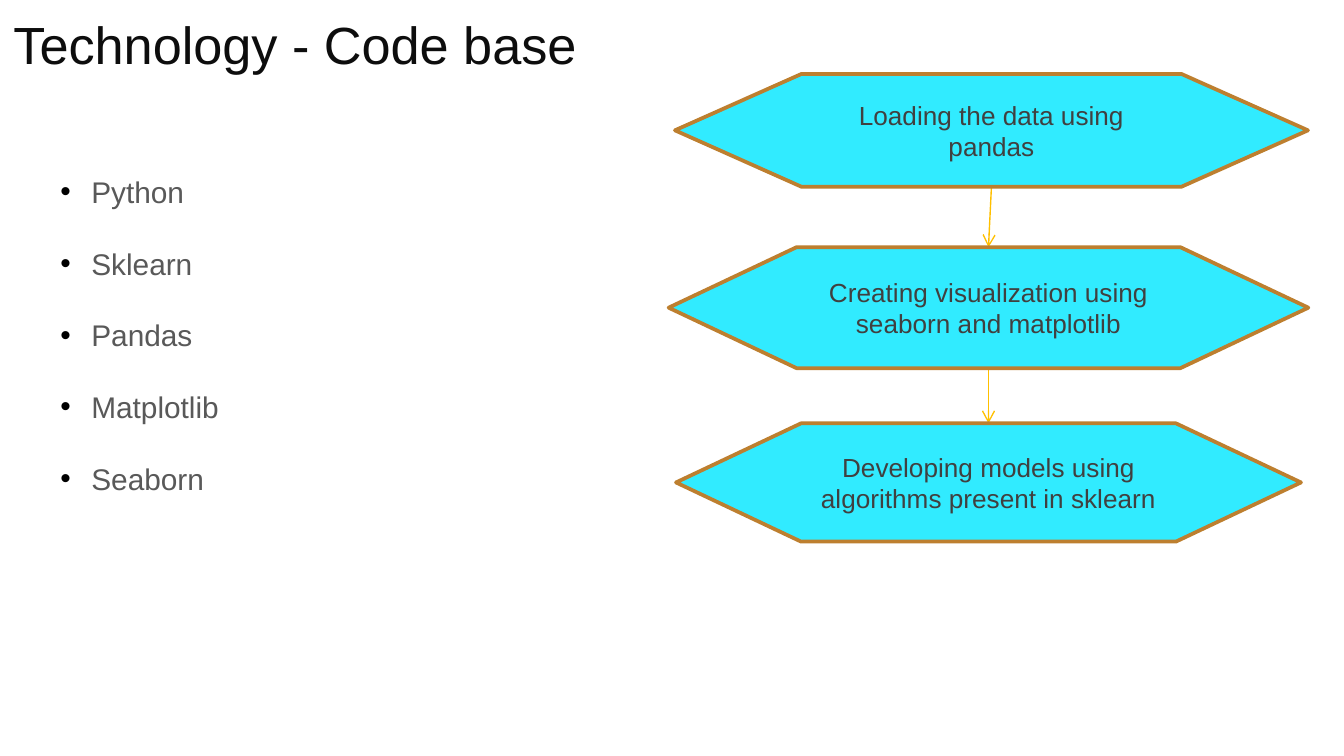
"""Build the code base slide: a list of tools beside a three-step flow."""
from dataclasses import dataclass

from lxml import etree
from pptx import Presentation
from pptx import util as u
from pptx.dml.color import RGBColor
from pptx.enum import shapes, text
from pptx.oxml.ns import qn


@dataclass(frozen=True)
class Theme:
    face: str = "Arial"
    heading: str = "0D0D0D"
    body: str = "595959"
    label: str = "404040"
    bullet: str = "000000"
    step_fill: str = "31EBFF"
    step_line: str = "BD7F2F"
    arrow: str = "FFC000"
    heading_size: int = 28
    body_size: int = 16
    label_size: int = 14


THEME = Theme()
WIDTH = u.Inches(10)
HEIGHT = WIDTH * 9 // 16
COLUMNS = ROWS = 100

HEADING = ("Technology - Code base", (0, -0.18, 93.2, 11.2))
TOOLS = ["Python", "Sklearn", "Pandas", "Matplotlib", "Seaborn"]
TOOLS_AREA = (3.5, 22.1, 46.1, 44.8)
STEPS = [
    ("Loading the data using pandas", (50.22, 9.78, 47.1, 14.93)),
    ("Creating visualization using seaborn and matplotlib", (49.75, 32.71, 47.6, 16)),
    ("Developing models using algorithms present in sklearn", (50.3, 56, 46.5, 15.64)),
]


def grid(area):
    column, row = WIDTH / COLUMNS, HEIGHT / ROWS
    return [round(share * unit) for share, unit in zip(area, (column, row) * 2)]


def place(holder, area):
    holder.left, holder.top, holder.width, holder.height = grid(area)
    frame = holder.text_frame
    frame.word_wrap = True
    frame.auto_size = text.MSO_AUTO_SIZE.NONE
    frame.vertical_anchor = text.MSO_ANCHOR.TOP
    return frame


def style(paragraph, size, color, align):
    paragraph.alignment = align
    paragraph.font.name = THEME.face
    paragraph.font.size = u.Pt(size)
    paragraph.font.color.rgb = RGBColor.from_string(color)


def add_bullet(paragraph):
    properties = paragraph._p.get_or_add_pPr()
    properties.set("marL", str(u.Inches(0.23)))
    properties.set("indent", str(-u.Inches(0.23)))
    color = etree.SubElement(properties, qn("a:buClr"))
    etree.SubElement(color, qn("a:srgbClr"), val=THEME.bullet)
    etree.SubElement(properties, qn("a:buFont"), typeface=THEME.face)
    etree.SubElement(properties, qn("a:buChar"), char="•")


def add_heading(slide):
    wording, area = HEADING
    frame = place(slide.shapes.title, area)
    frame.margin_top = u.Inches(0.1)
    frame.text = wording
    style(frame.paragraphs[0], THEME.heading_size, THEME.heading, text.PP_ALIGN.LEFT)


def add_tools(slide):
    frame = place(slide.placeholders[1], TOOLS_AREA)
    frame.text = "\n".join(TOOLS)
    for tool in frame.paragraphs:
        tool.space_before = u.Pt(0)
        tool.space_after = u.Pt(19.2)
        add_bullet(tool)
        style(tool, THEME.body_size, THEME.body, text.PP_ALIGN.LEFT)


def add_arrow(slide):
    arrow = slide.shapes.add_connector(shapes.MSO_CONNECTOR.STRAIGHT, 0, 0, 0, 0)
    arrow.line.color.rgb = RGBColor.from_string(THEME.arrow)
    arrow.line.width = u.Pt(0.75)
    etree.SubElement(arrow.line._get_or_add_ln(), qn("a:tailEnd"), type="arrow")
    etree.SubElement(arrow._element.spPr, qn("a:effectLst"))
    return arrow


def add_step(slide, wording, area):
    step = slide.shapes.add_shape(shapes.MSO_SHAPE.FLOWCHART_PREPARATION, *grid(area))
    step.shadow.inherit = False
    step.fill.solid()
    step.fill.fore_color.rgb = RGBColor.from_string(THEME.step_fill)
    step.line.color.rgb = RGBColor.from_string(THEME.step_line)
    step.line.width = u.Pt(2)
    frame = step.text_frame
    frame.word_wrap = True
    frame.vertical_anchor = text.MSO_ANCHOR.MIDDLE
    frame.text = wording
    style(frame.paragraphs[0], THEME.label_size, THEME.label, text.PP_ALIGN.CENTER)
    return step


def add_flow(slide):
    arrows = [add_arrow(slide) for _ in STEPS[1:]]
    steps = [add_step(slide, wording, area) for wording, area in STEPS]
    for arrow, upper, lower in zip(arrows, steps, steps[1:]):
        arrow.begin_connect(upper, 2)
        arrow.end_connect(lower, 0)


def main():
    deck = Presentation()
    deck.slide_width, deck.slide_height = WIDTH, HEIGHT
    slide = deck.slides.add_slide(deck.slide_layouts[1])
    add_heading(slide)
    add_tools(slide)
    add_flow(slide)
    deck.save("out.pptx")


if __name__ == "__main__":
    main()
